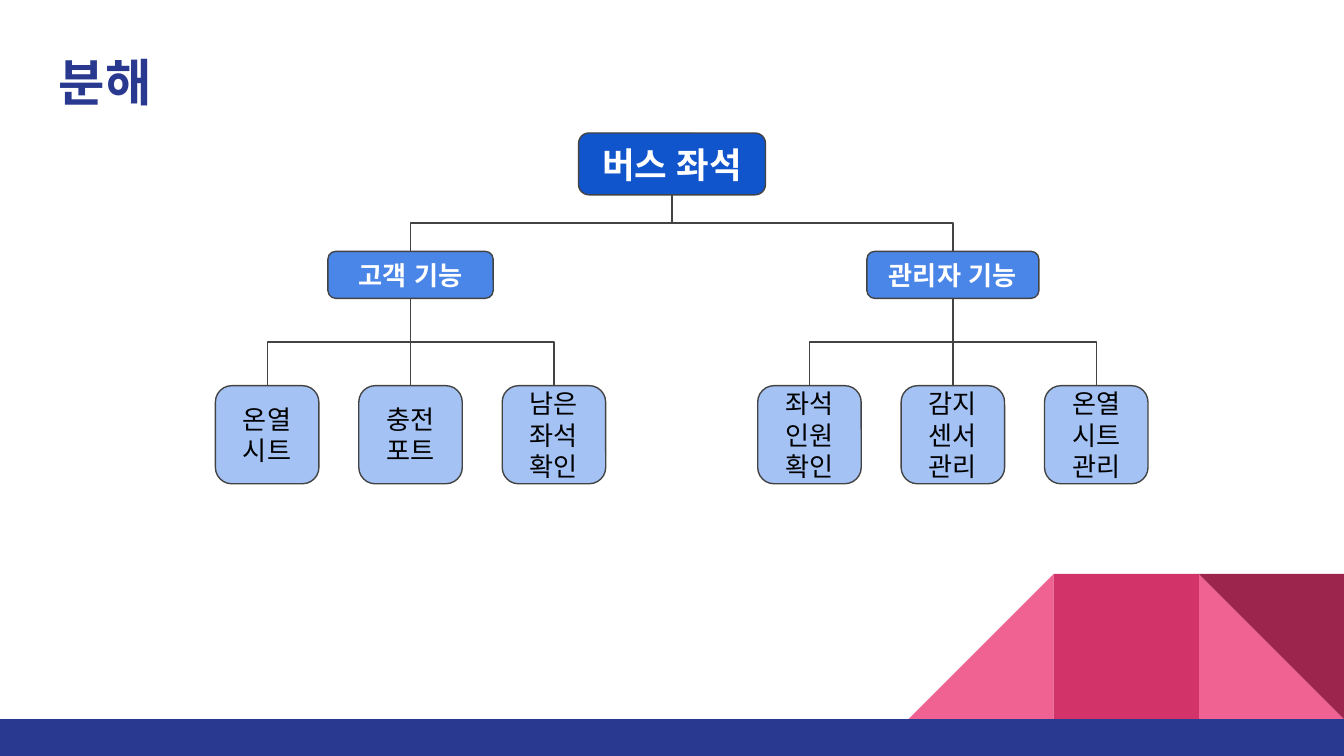
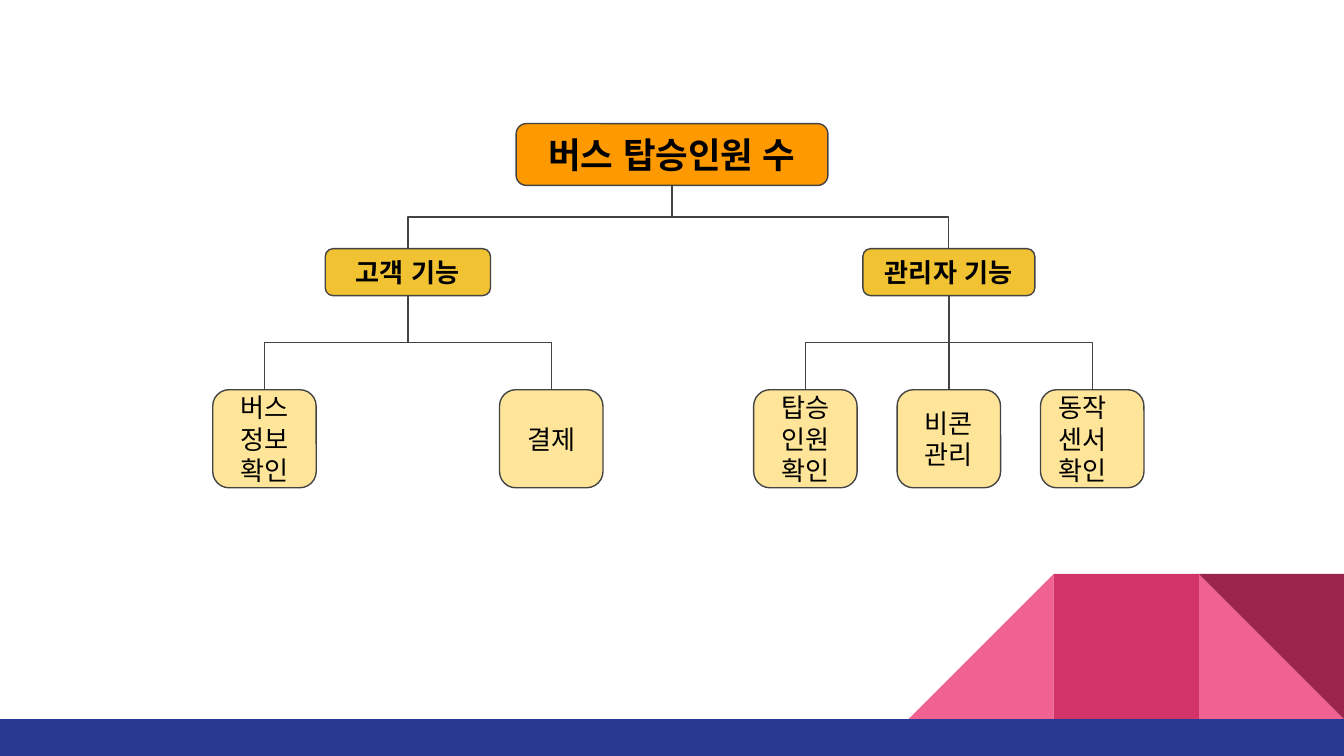
from typing import NamedTuple

from lxml import etree
from pptx import Presentation, util as u
from pptx.dml.color import RGBColor
from pptx.enum import shapes, text
from pptx.oxml import ns

COLUMNS = 100
CELL = u.Inches(10) // COLUMNS
WIDTH, HEIGHT = u.Inches(10), u.Inches(5.625)
ROWS = HEIGHT / CELL

NAVY, INK, BLACK, WHITE = "2A3990", "434343", "000000", "FFFFFF"
PINK, ROSE, WINE = "F06292", "D23369", "9C254D"
TILE, BAND_TOP = 10.8, 53.5
ROOT_H, BRANCH_H, LEAF_W, LEAF_H, LEAF_STEP = 4.6, 3.5, 7.7, 7.3, 10.67
LEFT, CENTER = text.PP_ALIGN.LEFT, text.PP_ALIGN.CENTER
Shape, Line = shapes.MSO_SHAPE, shapes.MSO_CONNECTOR


class Box(NamedTuple):
    """A rectangle in grid columns and rows."""
    x: float
    y: float
    w: float
    h: float

    @property
    def mid(self) -> float:
        """Return the column of the centre."""
        return self.x + self.w / 2

    @property
    def bottom(self) -> float:
        """Return the row of the lower edge."""
        return self.y + self.h


class Style(NamedTuple):
    """The look of a piece of text."""
    size: int
    color: str
    bold: bool = False
    font: str = "Arial"
    align: text.PP_ALIGN = CENTER


class Tile(NamedTuple):
    """One piece of the corner ornament, placed by its slot."""
    slot: int
    kind: Shape
    color: str
    turn: int = 0


class Leaf(NamedTuple):
    """A bottom box, with its slot around its branch."""
    slot: int
    lines: tuple[str, ...]
    align: text.PP_ALIGN = CENTER


class Branch(NamedTuple):
    """A middle box and the leaves under it."""
    label: str
    mid: float
    width: float
    leaves: tuple[Leaf, ...]


class Tree(NamedTuple):
    """A whole breakdown chart for one slide."""
    title: str
    label: str
    width: float
    tops: tuple[float, float, float]
    fills: tuple[str, str, str]
    head_color: str
    branches: tuple[Branch, ...]


TILES = (
    Tile(2, Shape.RIGHT_TRIANGLE, PINK),
    Tile(0, Shape.RIGHT_TRIANGLE, PINK, 270),
    Tile(1, Shape.RECTANGLE, ROSE),
    Tile(2, Shape.RIGHT_TRIANGLE, WINE, 180),
)

TREES = (
    Tree("분해", "버스 좌석", 13.9, (9.9, 18.7, 28.7),
         ("1155CC", "4A86E8", "A4C2F4"), WHITE, (
             Branch("고객 기능", 30.55, 12.3, (
                 Leaf(-1, ("온열시트",)),
                 Leaf(0, ("충전포트",)),
                 Leaf(1, ("남은좌석확인",)))),
             Branch("관리자 기능", 70.9, 12.8, (
                 Leaf(-1, ("좌석인원확인",)),
                 Leaf(0, ("감지센서관리",)),
                 Leaf(1, ("온열시트관리",)))))),
    Tree("", "버스 탑승인원 수", 23.2, (9.2, 18.5, 29),
         ("FF9900", "F1C232", "FFE599"), BLACK, (
             Branch("고객 기능", 30.35, 12.3, (
                 Leaf(-1, ("버스정보확인",)),
                 Leaf(1, ("결제",)))),
             Branch("관리자 기능", 70.6, 12.8, (
                 Leaf(-1, ("탑승", "인원", "확인")),
                 Leaf(0, ("비콘 관리",)),
                 Leaf(1, ("동작센서확인",), LEFT))))),
)


def rgb(color: str) -> RGBColor:
    """Turn a hex string into a colour."""
    return RGBColor.from_string(color)


def grid(*cells: float) -> list[int]:
    """Turn grid cells into lengths."""
    return [round(c * CELL) for c in cells]


def write(tf, lines: tuple[str, ...], style: Style) -> None:
    """Fill a text frame with one paragraph per line."""
    tf.word_wrap = True
    tf.margin_left = tf.margin_right = tf.margin_top = tf.margin_bottom = CELL
    for i, line in enumerate(lines):
        p = tf.add_paragraph() if i else tf.paragraphs[0]
        p.alignment = style.align
        r = p.add_run()
        r.text = line
        r.font.size = u.Pt(style.size)
        r.font.bold = style.bold
        r.font.color.rgb = rgb(style.color)
        r.font.name = style.font
        ea = etree.SubElement(r._r.get_or_add_rPr(), ns.qn("a:ea"))
        ea.set("typeface", style.font)


def add_block(s, kind: Shape, box: Box, fill: str):
    """Add a flat filled shape without outline."""
    sp = s.shapes.add_shape(kind, *grid(*box))
    sp.shadow.inherit = False
    sp.fill.solid()
    sp.fill.fore_color.rgb = rgb(fill)
    sp.line.fill.background()
    return sp


def add_node(s, box: Box, fill: str, lines: tuple[str, ...], style: Style) -> Box:
    """Add an outlined rounded box with text and return its place."""
    sp = add_block(s, Shape.ROUNDED_RECTANGLE, box, fill)
    sp.line.color.rgb = rgb(INK)
    sp.line.width = u.Pt(0.75)
    sp.text_frame.vertical_anchor = text.MSO_ANCHOR.MIDDLE
    write(sp.text_frame, lines, style)
    return box


def add_link(s, parent: Box, child: Box) -> None:
    """Join a parent to a child, straight down or by a vertical elbow."""
    dx, dy = child.mid - parent.mid, child.y - parent.bottom
    x, y = parent.mid + dx / 2, parent.bottom + dy / 2
    straight = abs(dx) < 0.01
    if straight:
        ends = grid(x, parent.bottom, x, child.y)
    else:
        half_x = dy / 2 if dx < 0 else -dy / 2
        half_y = abs(dx) / 2
        ends = grid(x - half_x, y - half_y, x + half_x, y + half_y)
    c = s.shapes.add_connector(Line.STRAIGHT if straight else Line.ELBOW, *ends)
    c.line.color.rgb = rgb(INK)
    c.line.width = u.Pt(0.75)
    pr = c._element.spPr
    etree.SubElement(pr, ns.qn("a:effectLst"))
    if not straight:
        turn = 90 if dx < 0 else 270
        pr.find(ns.qn("a:xfrm")).set("rot", str(turn * 60000))


def add_backdrop(s) -> None:
    """Draw the corner ornament and the bottom band."""
    for tile in TILES:
        x = COLUMNS - (3 - tile.slot) * TILE
        box = Box(x, BAND_TOP - TILE, TILE, TILE)
        add_block(s, tile.kind, box, tile.color).rotation = tile.turn
    band = Box(0, BAND_TOP, COLUMNS, ROWS - BAND_TOP)
    add_block(s, Shape.RECTANGLE, band, NAVY)


def add_title(s, title: str) -> None:
    """Add the slide title."""
    sp = s.shapes.add_textbox(*grid(3.4, 2.8, 93.2, 6.6))
    write(sp.text_frame, (title,), Style(27, NAVY, True, "Roboto", LEFT))


def add_tree(s, tree: Tree) -> None:
    """Draw the boxes of a chart and then the lines between them."""
    root_y, branch_y, leaf_y = tree.tops
    root_fill, branch_fill, leaf_fill = tree.fills
    links = []
    root = add_node(s, Box((COLUMNS - tree.width) / 2, root_y, tree.width, ROOT_H),
                    root_fill, (tree.label,), Style(19, tree.head_color, True))
    for branch in tree.branches:
        place = Box(branch.mid - branch.width / 2, branch_y, branch.width, BRANCH_H)
        parent = add_node(s, place, branch_fill, (branch.label,),
                          Style(14, tree.head_color, True))
        links.append((root, parent))
        for leaf in branch.leaves:
            x = branch.mid + leaf.slot * LEAF_STEP - LEAF_W / 2
            child = add_node(s, Box(x, leaf_y, LEAF_W, LEAF_H), leaf_fill,
                             leaf.lines, Style(14, BLACK, align=leaf.align))
            links.append((parent, child))
    for parent, child in links:
        add_link(s, parent, child)


def main() -> None:
    """Build and save the deck."""
    prs = Presentation()
    prs.slide_width, prs.slide_height = WIDTH, HEIGHT
    for tree in TREES:
        s = prs.slides.add_slide(prs.slide_layouts[6])
        add_backdrop(s)
        if tree.title:
            add_title(s, tree.title)
        add_tree(s, tree)
    prs.save("out.pptx")


if __name__ == "__main__":
    main()
